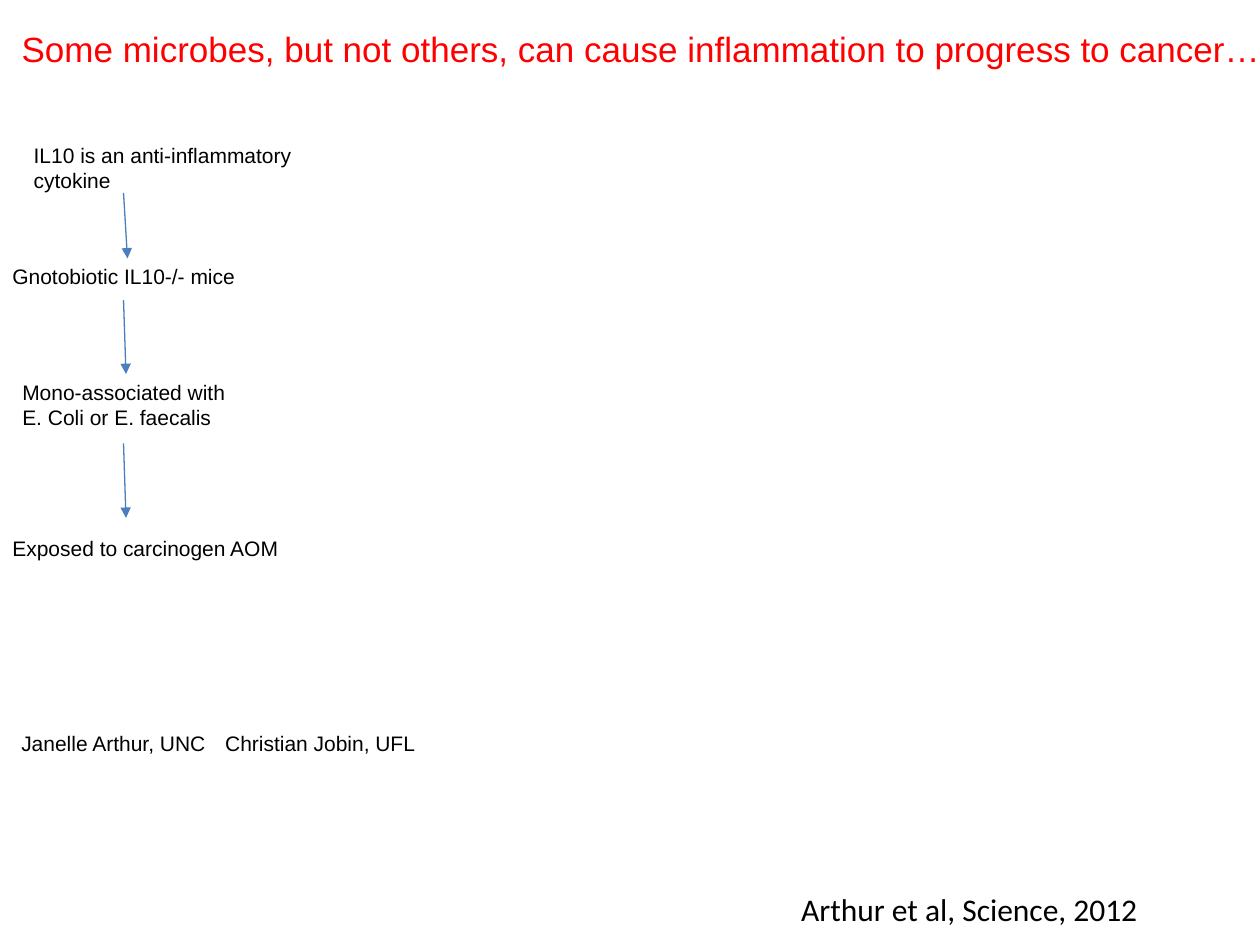
import dataclasses

import lxml.etree
import pptx
import pptx.dml.color
import pptx.enum.shapes
import pptx.enum.text
import pptx.oxml.ns
import pptx.util

Cm = pptx.util.Cm


@dataclasses.dataclass(frozen=True)
class Theme:
    text_font: str = "Arial"
    citation_font: str = "Calibri"
    title_size: int = 20
    text_size: int = 12
    citation_size: int = 18
    title_color: str = "FF0000"
    text_color: str = "000000"
    arrow_color: str = "4B7EBC"
    arrow_width: float = 0.75


class SlideBuilder:
    def __init__(self, slide, theme):
        self.slide = slide
        self.theme = theme

    def fill_text(self, shape, lines, font, size, color):
        frame = shape.text_frame
        frame.word_wrap = False
        frame.auto_size = pptx.enum.text.MSO_AUTO_SIZE.SHAPE_TO_FIT_TEXT
        frame.vertical_anchor = pptx.enum.text.MSO_ANCHOR.TOP
        for index, line in enumerate(lines):
            paragraph = frame.add_paragraph() if index else frame.paragraphs[0]
            paragraph.alignment = pptx.enum.text.PP_ALIGN.LEFT
            run = paragraph.add_run()
            run.text = line
            run.font.name = font
            run.font.size = pptx.util.Pt(size)
            run.font.color.rgb = pptx.dml.color.RGBColor.from_string(color)

    def title(self, text, left, top, width, height):
        shape = self.slide.shapes.title
        shape.left, shape.top = Cm(left), Cm(top)
        shape.width, shape.height = Cm(width), Cm(height)
        theme = self.theme
        self.fill_text(shape, [text], theme.text_font, theme.title_size, theme.title_color)

    def label(self, lines, left, top, width, height, font=None, size=None):
        shape = self.slide.shapes.add_textbox(Cm(left), Cm(top), Cm(width), Cm(height))
        theme = self.theme
        self.fill_text(shape, lines, font or theme.text_font,
                       size or theme.text_size, theme.text_color)

    def arrow(self, start_x, start_y, end_x, end_y):
        connector = self.slide.shapes.add_connector(
            pptx.enum.shapes.MSO_CONNECTOR.STRAIGHT,
            Cm(start_x), Cm(start_y), Cm(end_x), Cm(end_y))
        connector.line.color.rgb = pptx.dml.color.RGBColor.from_string(self.theme.arrow_color)
        connector.line.width = pptx.util.Pt(self.theme.arrow_width)
        qn = pptx.oxml.ns.qn
        properties = connector._element.spPr
        lxml.etree.SubElement(properties.find(qn("a:ln")), qn("a:tailEnd"), type="triangle")
        lxml.etree.SubElement(properties, qn("a:effectLst"))


def main():
    presentation = pptx.Presentation()
    presentation.slide_width, presentation.slide_height = Cm(25.4), Cm(19.05)
    title_only = presentation.slide_layouts[5]
    theme = Theme()
    builder = SlideBuilder(presentation.slides.add_slide(title_only), theme)

    builder.title("Some microbes, but not others, can cause inflammation to progress to cancer…",
                  0.18, 0.43, 25.65, 1.12)

    # Experiment steps, top to bottom
    one_line, two_lines = 0.76, 1.27
    builder.label(["IL10 is an anti-inflammatory", "cytokine"], 0.43, 2.74, 5.87, two_lines)
    builder.label(["Gnotobiotic IL10-/- mice"], 0, 5.18, 5.13, one_line)
    builder.label(["Mono-associated with", "E. Coli or E. faecalis"], 0.2, 7.52, 4.75, two_lines)
    builder.label(["Exposed to carcinogen AOM"], 0, 10.67, 5.92, one_line)

    # Arrows between the steps
    arrow_left = 2.49
    for top, end_x, bottom in ((3.89, 2.57, 5.21), (6.05, 2.54, 7.54), (8.94, 2.54, 10.44)):
        builder.arrow(arrow_left, top, end_x, bottom)

    # Researchers
    researchers_top = 14.6
    builder.label(["Janelle Arthur, UNC"], 0.18, researchers_top, 4.27, one_line)
    builder.label(["Christian Jobin, UFL"], 4.29, researchers_top, 4.37, one_line)

    # Citation
    builder.label(["Arthur et al, Science, 2012"], 15.9, 17.81, 7.57, 1.02,
                  theme.citation_font, theme.citation_size)

    presentation.save("out.pptx")


if __name__ == "__main__":
    main()
